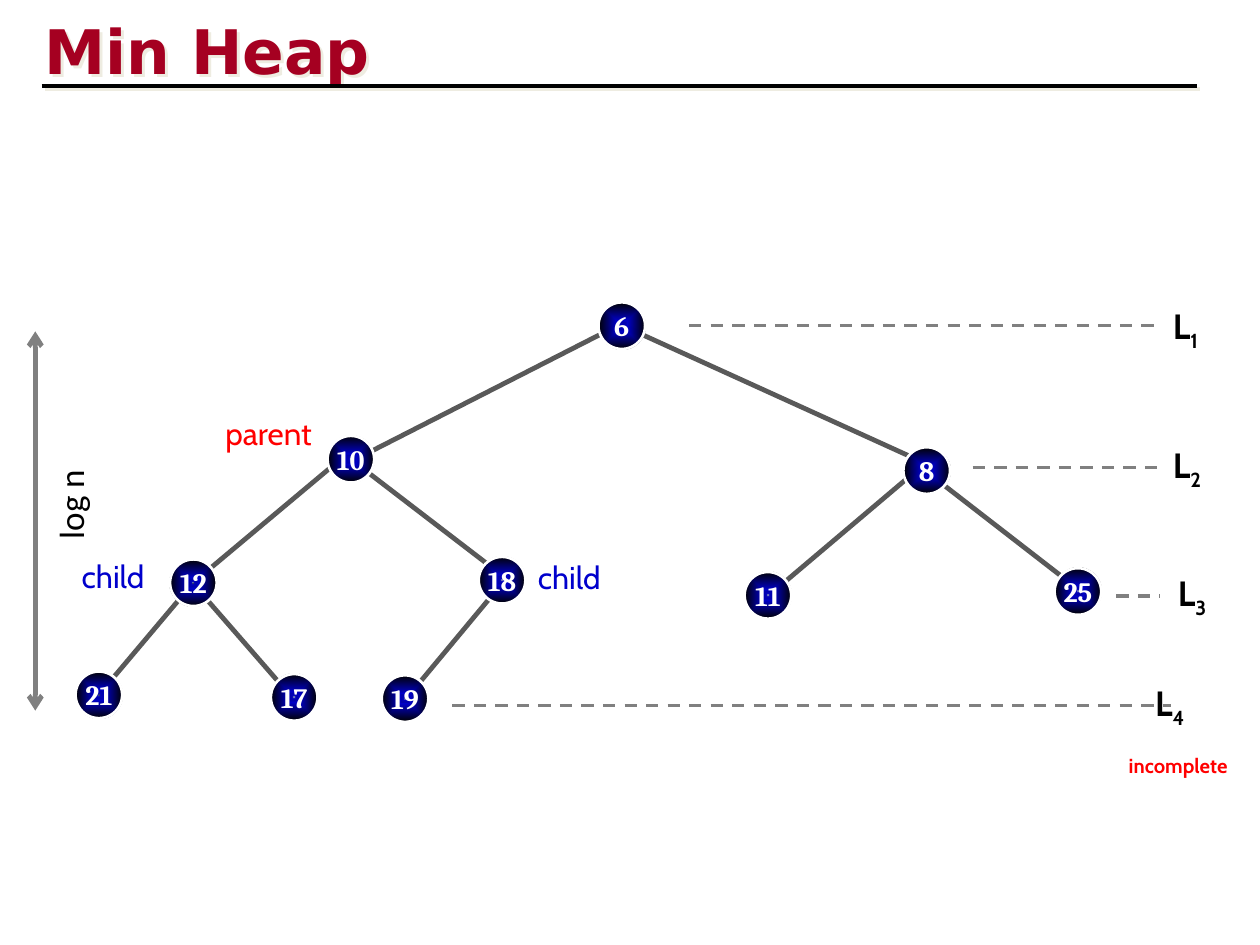
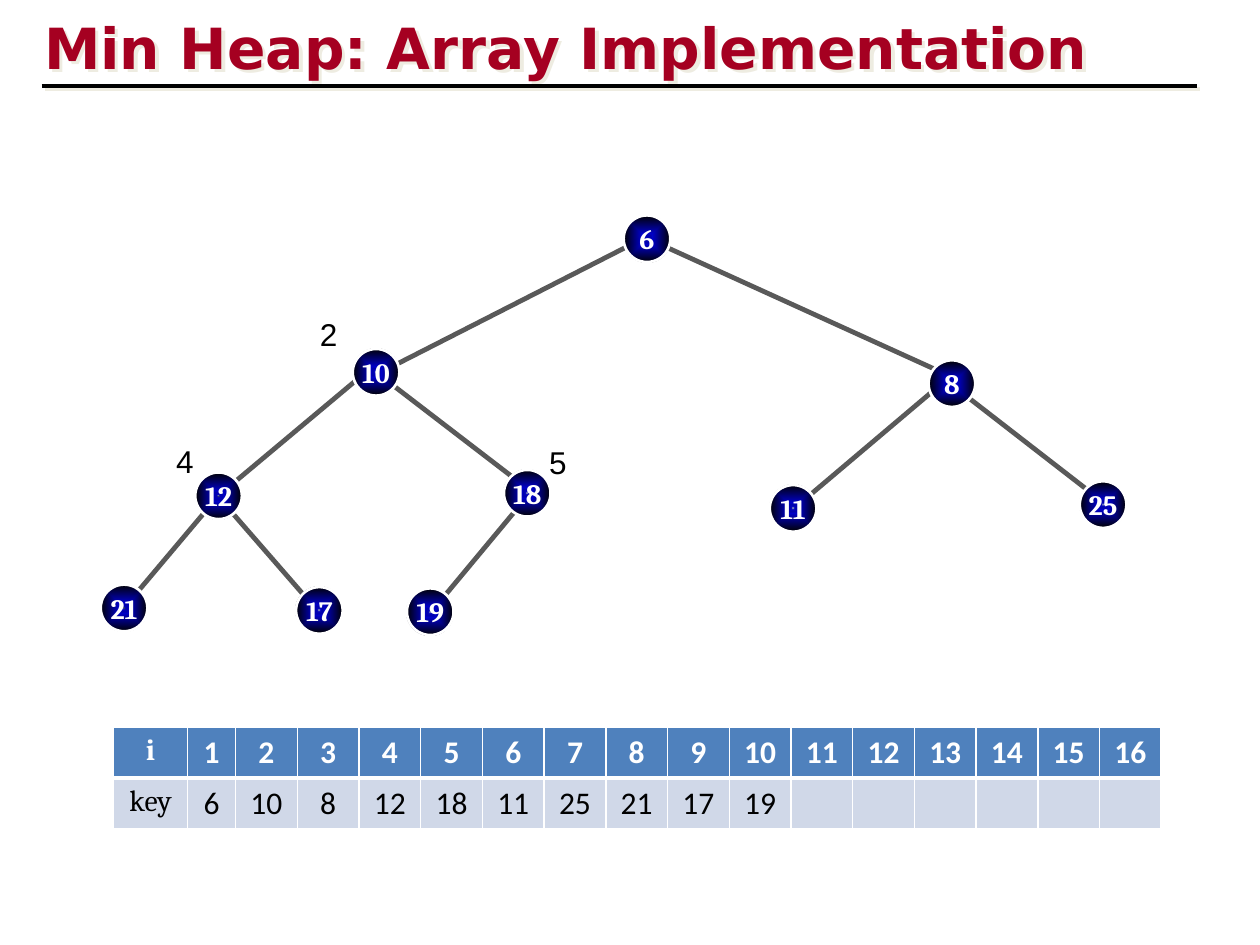
from dataclasses import dataclass

import pptx
import pptx.dml.color
import pptx.enum.dml
import pptx.enum.shapes
import pptx.enum.text
import pptx.oxml
import pptx.oxml.ns
import pptx.util

Inches = pptx.util.Inches
Pt = pptx.util.Pt
RGB = pptx.dml.color.RGBColor.from_string
ALIGN = pptx.enum.text.PP_ALIGN
ANCHOR = pptx.enum.text.MSO_ANCHOR
NSDECL = pptx.oxml.ns.nsdecls("a")


@dataclass(frozen=True)
class Theme:
    title: str = "A50021"
    black: str = "000000"
    white: str = "FFFFFF"
    red: str = "FF0000"
    blue: str = "0000CC"
    edge: str = "595959"
    grey: str = "808080"
    shadow: str = "EEECE1"
    header_fill: str = "4F81BD"
    body_fill: str = "D0D8E8"
    title_font: str = "DejaVu Sans"
    node_font: str = "Cambria"
    label_font: str = "Cabin"
    table_font: str = "Calibri"
    index_font: str = "Arial"
    node_size: float = 16
    head_size: float = 17
    label_size: float = 18
    level_size: float = 20


T = Theme()
NODE = 0.37
# Position in percent, colour, opacity in percent
NODE_STOPS = [(0, "0000CC", 100), (0, "002060", 25), (6, "0000C0", 100),
              (10, "0000B7", 100), (16, "0000AB", 100), (21, "0000CC", 100),
              (100, "000000", 100)]
# In array order: key, left, top, edge from the parent (x1, y1, x2, y2)
HEAP = [
    (6, 4.75, 2.4, None),
    (10, 2.6, 3.46, (4.91, 2.58, 2.91, 3.6)),
    (8, 7.17, 3.55, (4.93, 2.58, 7.35, 3.68)),
    (12, 1.35, 4.44, (2.78, 3.58, 1.61, 4.56)),
    (18, 3.8, 4.42, (2.83, 3.68, 3.86, 4.47)),
    (11, 5.91, 4.54, (7.35, 3.67, 6.18, 4.66)),
    (25, 8.37, 4.51, (7.4, 3.78, 8.42, 4.57)),
    (21, 0.6, 5.33, (1.53, 4.63, 0.78, 5.52)),
    (17, 2.15, 5.35, (1.53, 4.63, 2.2, 5.4)),
    (19, 3.03, 5.36, (3.96, 4.66, 3.22, 5.55)),
]
ARRAY_SIZE = 16


def style_run(r, size, font, color, bold=False):
    r.font.size = Pt(size)
    r.font.name = font
    r.font.bold = bold
    r.font.color.rgb = RGB(color)


def add_run(p, text, size, font, color, bold=False, subscript=False):
    r = p.add_run()
    r.text = text
    style_run(r, size, font, color, bold)
    if subscript:
        r.font._element.set("baseline", "-25000")


def set_effects(sp, shadow=None):
    """Give the shape a soft-coloured drop shadow, or none at all."""
    drop = ""
    if shadow:
        drop = (f'<a:outerShdw dist="{Pt(2.8)}" dir="2700000" algn="ctr">'
                f'<a:srgbClr val="{shadow}"/></a:outerShdw>')
    sp._element.spPr.append(pptx.oxml.parse_xml(
        f"<a:effectLst {NSDECL}>{drop}</a:effectLst>"))


def add_line(slide, ends, color, width, dashed=False, arrows=False, shadow=None):
    line = slide.shapes.add_connector(
        pptx.enum.shapes.MSO_CONNECTOR.STRAIGHT, *map(Inches, ends))
    line.line.color.rgb = RGB(color)
    line.line.width = Pt(width)
    if dashed:
        line.line.dash_style = pptx.enum.dml.MSO_LINE.DASH
    if arrows:
        for end in ("headEnd", "tailEnd"):
            line.line._ln.append(pptx.oxml.parse_xml(
                f'<a:{end} {NSDECL} type="arrow"/>'))
    set_effects(line, shadow)


def add_titled_slide(prs, title, size):
    slide = prs.slides.add_slide(prs.slide_layouts[5])
    sp = slide.shapes.title
    sp.left, sp.top, sp.width, sp.height = map(Inches, (0.28, 0.01, 8.5, 0.67))
    tf = sp.text_frame
    tf.text = title
    tf.word_wrap = True
    tf.auto_size = pptx.enum.text.MSO_AUTO_SIZE.NONE
    tf.vertical_anchor = ANCHOR.TOP
    tf.margin_left = Inches(0.07)
    tf.margin_top = Inches(0.09)
    tf.margin_bottom = 0
    p = tf.paragraphs[0]
    p.alignment = ALIGN.LEFT
    style_run(p.runs[0], size, T.title_font, T.title, bold=True)
    set_effects(sp, T.shadow)
    add_line(slide, (0.33, 0.68, 9.5, 0.68), T.black, 2.25, shadow=T.shadow)
    return slide


def add_text_box(slide, box):
    sp = slide.shapes.add_textbox(*map(Inches, box))
    sp.text_frame.word_wrap = True
    return sp


def add_label(slide, box, text, size, font, color):
    sp = add_text_box(slide, box)
    add_run(sp.text_frame.paragraphs[0], text, size, font, color)
    return sp


def add_level_label(slide, box, level):
    tf = add_text_box(slide, box).text_frame
    for text, subscript in (("L", False), (str(level), True)):
        add_run(tf.paragraphs[0], text, T.level_size, T.label_font, T.black,
                bold=True, subscript=subscript)
    return tf


def add_node(slide, key, left, top):
    sp = slide.shapes.add_shape(pptx.enum.shapes.MSO_SHAPE.OVAL,
                                *map(Inches, (left, top, NODE, NODE)))
    sp.line.color.rgb = RGB(T.white)
    sp.line.width = Pt(1.5)
    sp.shadow.inherit = False
    stops = "".join(
        f'<a:gs pos="{pos * 1000}"><a:srgbClr val="{color}">'
        f'<a:alpha val="{alpha * 1000}"/></a:srgbClr></a:gs>'
        for pos, color, alpha in NODE_STOPS)
    sp._element.spPr.insert(2, pptx.oxml.parse_xml(
        f'<a:gradFill {NSDECL}><a:gsLst>{stops}</a:gsLst><a:path path="shape">'
        '<a:fillToRect l="50000" t="50000" r="50000" b="50000"/>'
        "</a:path></a:gradFill>"))
    tf = sp.text_frame
    tf.word_wrap = False
    tf.vertical_anchor = ANCHOR.MIDDLE
    p = tf.paragraphs[0]
    p.alignment = ALIGN.CENTER
    add_run(p, str(key), T.node_size, T.node_font, T.white, bold=True)


def add_heap(slide, dx=0, dy=0):
    """Draw all edges, then all nodes over them, moved by dx and dy."""
    for *_, edge in HEAP[1:]:
        x1, y1, x2, y2 = edge
        add_line(slide, (x1 + dx, y1 + dy, x2 + dx, y2 + dy), T.edge, 2.75)
    for key, left, top, _ in HEAP:
        add_node(slide, key, left + dx, top + dy)


def set_borders(cell, top, bottom):
    tcPr = cell._tc.get_or_add_tcPr()
    for i, (side, width) in enumerate(
            (("L", 1), ("R", 1), ("T", top), ("B", bottom))):
        tcPr.insert(i, pptx.oxml.parse_xml(
            f'<a:ln{side} {NSDECL} w="{Pt(width)}"><a:solidFill>'
            f'<a:srgbClr val="{T.white}"/></a:solidFill></a:ln{side}>'))


def add_array_table(slide):
    keys = [key for key, *_ in HEAP]
    rows = [["i", *range(1, ARRAY_SIZE + 1)],
            ["key", *keys, *[""] * (ARRAY_SIZE - len(keys))]]
    widths = [0.59, 0.38] + [0.49] * (ARRAY_SIZE - 1)
    table = slide.shapes.add_table(
        len(rows), len(widths),
        *map(Inches, (0.9, 5.77, sum(widths), 0.81))).table
    for column, width in zip(table.columns, widths):
        column.width = Inches(width)
    looks = [(T.header_fill, T.white, True, 1, 3),
             (T.body_fill, T.black, False, 3, 1)]
    for i, (values, look) in enumerate(zip(rows, looks)):
        fill, color, bold, top, bottom = look
        for j, value in enumerate(values):
            cell = table.cell(i, j)
            cell.fill.solid()
            cell.fill.fore_color.rgb = RGB(fill)
            set_borders(cell, top, bottom)
            p = cell.text_frame.paragraphs[0]
            p.alignment = ALIGN.CENTER
            size, font = ((T.label_size, T.table_font) if j
                          else (T.head_size, T.node_font))
            if value != "":
                add_run(p, str(value), size, font, color, bold)


def build_min_heap(prs):
    slide = add_titled_slide(prs, "Min Heap", 35.1)
    add_heap(slide)
    for text, left, top, color in (("parent", 1.69, 3.24, T.red),
                                   ("child", 0.55, 4.37, T.blue),
                                   ("child", 4.17, 4.38, T.blue)):
        add_label(slide, (left, top, 1.07, 0.4), text,
                  T.label_size, T.label_font, color)

    for x1, x2, y in ((5.47, 9.21, 2.58), (7.72, 9.21, 3.71),
                      (8.86, 9.21, 4.73), (3.59, 9.29, 5.6)):
        add_line(slide, (x1, y, x2, y), T.grey, 1.75, dashed=True)
    level_boxes = [(9.21, 2.37, 1.07, 0.44), (9.21, 3.47, 1.07, 0.44),
                   (9.25, 4.49, 1.07, 0.44), (8.86, 5.36, 1.5, 0.66)]
    for level, box in enumerate(level_boxes, 1):
        tf = add_level_label(slide, box, level)
    tf.paragraphs[0]._p.get_or_add_pPr().set("marL", str(Inches(0.21)))
    add_run(tf.add_paragraph(), "incomplete", T.level_size, T.label_font,
            T.red, bold=True, subscript=True)

    height = add_label(slide, (0.11, 3.71, 0.9, 0.44), "log n",
                       T.level_size, T.table_font, T.black)
    height.rotation = 270
    add_line(slide, (0.28, 2.63, 0.28, 5.64), T.grey, 2.75, arrows=True)


def build_array_implementation(prs):
    slide = add_titled_slide(prs, "Min Heap: Array Implementation", 32.4)
    add_heap(slide, dx=0.2, dy=-0.69)
    add_array_table(slide)
    for index, left, top in ((2, 2.44, 2.45), (4, 1.3, 3.46), (5, 4.26, 3.47)):
        add_label(slide, (left, top, 0.47, 0.4), str(index),
                  T.label_size, T.index_font, T.black)


def main():
    prs = pptx.Presentation()
    prs.slide_width = Inches(10)
    prs.slide_height = Inches(7.5)
    build_min_heap(prs)
    build_array_implementation(prs)
    prs.save("out.pptx")


if __name__ == "__main__":
    main()
